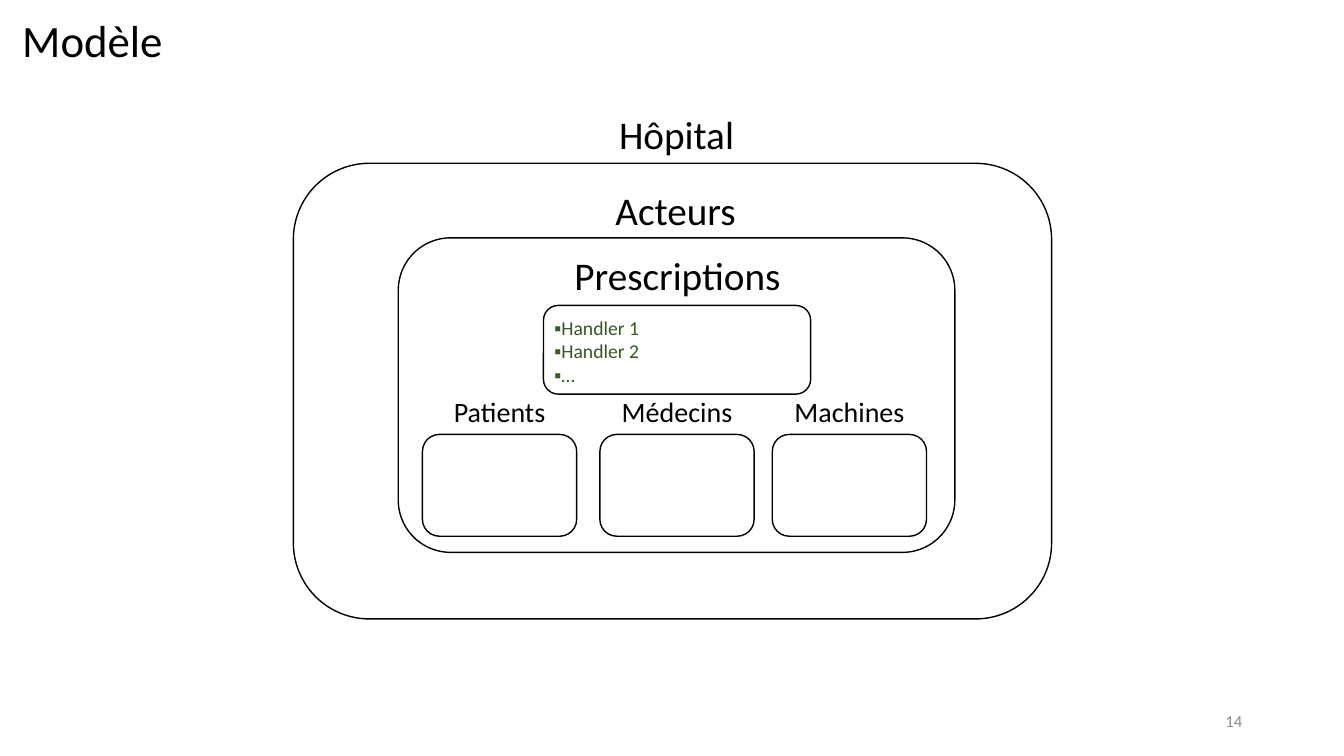
from pptx import Presentation
from pptx.dml.color import RGBColor
from pptx.enum.shapes import MSO_SHAPE as Shape
from pptx.enum.text import MSO_ANCHOR as Anchor, PP_ALIGN as Align
from pptx.util import Inches, Pt

BLACK = RGBColor(0x00, 0x00, 0x00)
GREEN = RGBColor(0x38, 0x57, 0x23)
GRAY = RGBColor(0x8C, 0x8C, 0x8C)


def place(box):
    """Turn a box in inches into lengths."""
    return [Inches(n) for n in box]


def write(frame, text, size, color=BLACK, align=Align.LEFT, anchor=Anchor.TOP):
    """Fill a text frame and format its runs."""
    frame.word_wrap = True
    frame.vertical_anchor = anchor
    frame.text = text
    for par in frame.paragraphs:
        par.alignment = align
        for run in par.runs:
            run.font.name = "Calibri"
            run.font.size = Pt(size)
            run.font.color.rgb = color


def draw_title(slide, box, text):
    """Move the title placeholder into the box and fill it."""
    title = slide.shapes.title
    title.left, title.top, title.width, title.height = place(box)
    write(title.text_frame, text, 32)


def draw_frame(slide, box, name, size, tag):
    """Group a rounded frame with its label, offset from the frame's corner."""
    left, top, width, height = box
    right, rise, wide, high = tag
    parts = slide.shapes.add_group_shape().shapes
    label = parts.add_textbox(*place((left + right, top - rise, wide, high)))
    write(label.text_frame, name, size, align=Align.CENTER)
    frame = parts.add_shape(Shape.ROUNDED_RECTANGLE, *place(box))
    frame.shadow.inherit = False
    frame.fill.background()
    frame.line.color.rgb = BLACK
    frame.line.width = Pt(1)


def draw_list(slide, box, items):
    """Write the handlers, each after a small square."""
    area = slide.shapes.add_textbox(*place(box))
    write(area.text_frame, "\n".join(f"▪{item}" for item in items), 14, GREEN)


def draw_model(slide, box):
    """Nest the hospital, its actors and their parts in the box."""
    left, top, width, height = box
    draw_frame(slide, box, "Hôpital", 28, (3.03, 0.57, 1.54, 0.57))
    draw_frame(slide, (left + 1.04, top + 0.74, 5.52, 3.12),
               "Acteurs", 28, (1.98, 0.56, 1.54, 0.57))
    draw_frame(slide, (left + 2.48, top + 1.41, 2.65, 0.88),
               "Prescriptions", 28, (0.01, 0.59, 2.64, 0.57))
    draw_list(slide, (left + 2.49, top + 1.46, 2.41, 1.11),
              ["Handler 1", "Handler 2", "…"])
    actors = {"Patients": 1.28, "Médecins": 3.04, "Machines": 4.75}
    for name, shift in actors.items():
        draw_frame(slide, (left + shift, top + 2.69, 1.53, 1.01),
                   name, 20, (-0.21, 0.45, 1.95, 0.44))


def draw_number(slide, box, text):
    """Write the page number at the right of the box."""
    area = slide.shapes.add_textbox(*place(box))
    write(area.text_frame, text, 12, GRAY, Align.RIGHT, Anchor.MIDDLE)


def main():
    """Build the slide and save it."""
    deck = Presentation()
    deck.slide_width, deck.slide_height = Inches(13.33), Inches(7.5)
    slide = deck.slides.add_slide(deck.slide_layouts[5])
    draw_title(slide, (0.12, 0.08, 3.6, 0.64), "Modèle")
    draw_model(slide, (2.91, 1.62, 7.52, 4.52))
    draw_number(slide, (9.42, 6.95, 3, 0.4), "14")
    deck.save("out.pptx")


if __name__ == "__main__":
    main()
